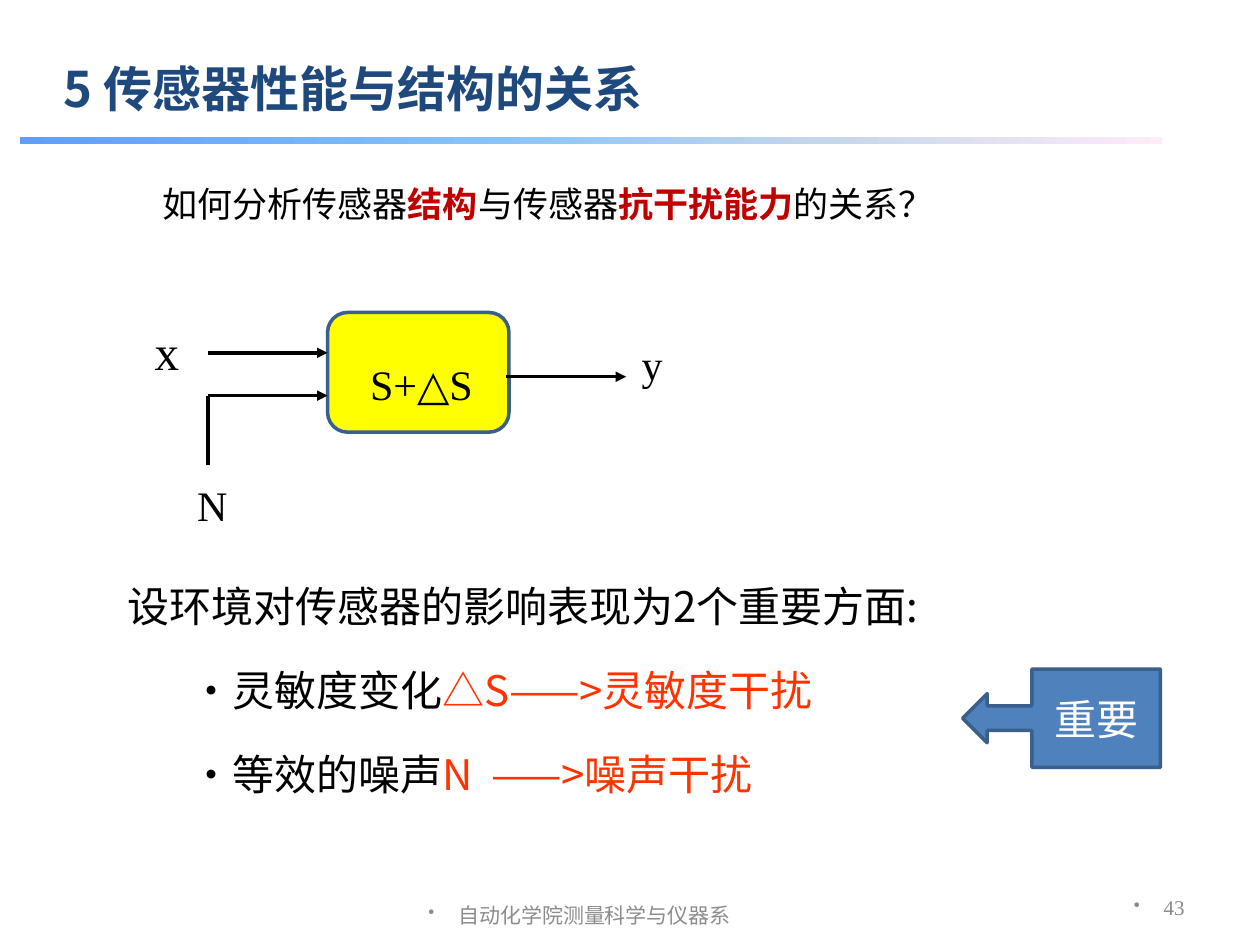
"""Build the slide on how sensor structure relates to disturbance rejection."""
import pptx
import pptx.util
import pptx.dml.color
import pptx.enum.shapes
import pptx.enum.text
import pptx.oxml.ns
import lxml.etree

Inches, Pt = pptx.util.Inches, pptx.util.Pt
Kind = pptx.enum.shapes.MSO_SHAPE
Align = pptx.enum.text.PP_ALIGN
Anchor = pptx.enum.text.MSO_ANCHOR
Auto = pptx.enum.text.MSO_AUTO_SIZE

THEME = {
    "sans": "Noto Sans CJK SC", "serif": "Times New Roman", "plain": "Calibri",
    "ink": "000000", "navy": "1F497D", "red": "C00000", "orange": "FF3300",
    "gray": "898989", "foot": "8C8C8C", "white": "FFFFFF", "yellow": "FFFF00",
    "blue": "4F81BD", "edge": "3A5F8C",
    "bar": [(0, "5E9EFF"), (40, "85C2FF"), (70, "C4D6EB"), (100, "FFEBFA")],
    "tiny": 12, "lead": 20, "body": 24, "head": 28,
}

TITLE = [[("5 传感器性能与结构的关系", "navy", True)]]
QUERY = [[("如何分析传感器", "ink"), ("结构", "red", True), ("与传感器", "ink"),
          ("抗干扰能力", "red", True), ("的关系？", "ink")]]
POINTS = [
    [("设环境对传感器的影响表现为2个重要方面:", "ink")],
    [("\t·灵敏度变化", "ink"), ("△S——>灵敏度干扰", "orange")],
    [("\t·等效的噪声", "ink"), ("N  ——>噪声干扰", "orange")],
]
LABELS = [("x", (0.99, 2.27, 0.67, 0.81), "head"),
          ("y", (4.84, 2.44, 0.67, 0.7), "body"),
          ("N", (1.35, 3.56, 0.67, 0.7), "body")]
FOOTERS = [("43", "gray", (7.17, 6.95, 2.33, 0.4), Align.RIGHT),
           ("自动化学院测量科学与仪器系", "foot", (3.11, 7.01, 3.17, 0.4), Align.CENTER)]
WIRES = [((4.02, 2.99), (4.97, 2.99), 2, True),
         ((1.65, 3.69), (1.65, 3.14), 2.25, False),
         ((1.65, 2.8), (2.6, 2.8), 2, True),
         ((1.65, 3.14), (2.6, 3.14), 2, True)]


def tint(name):
    return pptx.dml.color.RGBColor.from_string(THEME[name])


def child(node, tag, **attrs):
    return lxml.etree.SubElement(node, pptx.oxml.ns.qn("a:" + tag), attrs)


def write(frame, paras, size, font, align=Align.LEFT, lines=1.5, gap=0.2,
          indent=None, bullet=False):
    for i, runs in enumerate(paras):
        para = frame.paragraphs[0] if i == 0 else frame.add_paragraph()
        para.alignment, para.line_spacing = align, lines
        para.space_before = Pt(THEME[size] * gap)
        props = para._p.get_or_add_pPr()
        if indent:
            props.set("marL", str(Inches(indent[0])))
            props.set("indent", str(Inches(indent[1])))
        if bullet:
            child(props, "buSzPct", val="85000")
            child(props, "buChar", char="•")
        for words, color, *bold in runs:
            run = para.add_run()
            run.text = words
            run.font.size, run.font.name = Pt(THEME[size]), THEME[font]
            run.font.bold = bool(bold)
            run.font.color.rgb = tint(color)
            child(run._r.get_or_add_rPr(), "ea", typeface=THEME["sans"])


def add_text(slide, box, paras, size, font, mid=False, grow=False, wrap=True, **style):
    frame = slide.shapes.add_textbox(*map(Inches, box)).text_frame
    frame.word_wrap = wrap
    frame.auto_size = Auto.SHAPE_TO_FIT_TEXT if grow else Auto.NONE
    frame.vertical_anchor = Anchor.MIDDLE if mid else Anchor.TOP
    write(frame, paras, size, font, **style)


def add_block(slide, kind, box, fill):
    block = slide.shapes.add_shape(kind, *map(Inches, box))
    block.shadow.inherit = False
    block.fill.solid()
    block.fill.fore_color.rgb = tint(fill)
    block.line.color.rgb, block.line.width = tint("edge"), Pt(2)
    return block


def add_bar(slide, box):
    bar = slide.shapes.add_shape(Kind.RECTANGLE, *map(Inches, box))
    bar.shadow.inherit = False
    bar.line.fill.background()
    bar.fill.gradient()
    bar.fill.gradient_angle = 0
    stops = bar._element.spPr.find(".//" + pptx.oxml.ns.qn("a:gsLst"))
    for stop in list(stops):
        stops.remove(stop)
    for place, color in THEME["bar"]:
        child(child(stops, "gs", pos=str(place * 1000)), "srgbClr", val=color)


def add_wire(slide, start, end, width, arrow):
    wire = slide.shapes.add_connector(pptx.enum.shapes.MSO_CONNECTOR.STRAIGHT,
                                      *map(Inches, start + end))
    wire.line.color.rgb, wire.line.width = tint("ink"), Pt(width)
    if arrow:
        child(wire.line._get_or_add_ln(), "tailEnd", type="triangle")
    child(wire._element.spPr, "effectLst")


def main():
    deck = pptx.Presentation()
    deck.slide_width, deck.slide_height = Inches(10), Inches(7.5)
    slide = deck.slides.add_slide(deck.slide_layouts[6])
    for words, color, box, align in FOOTERS:
        add_text(slide, box, [[(words, color)]], "tiny", "serif", mid=True,
                 align=align, bullet=True)
    add_bar(slide, (0.16, 1.09, 9.06, 0.05))
    add_text(slide, (0.41, 0.29, 8.5, 0.69), TITLE, "head", "sans", mid=True,
             grow=True, lines=1.25, gap=0.5)
    add_text(slide, (1.19, 1.23, 7.39, 2.32), QUERY, "lead", "sans")
    add_block(slide, Kind.ROUNDED_RECTANGLE, (2.6, 2.48, 1.44, 0.95), "yellow")
    add_text(slide, (2.6, 2.57, 1.3, 0.75), [[("S+", "ink"), ("△", "ink"), ("S", "ink")]],
             "body", "serif", mid=True, wrap=False, align=Align.CENTER, indent=(0, 0.19))
    for wire in WIRES:
        add_wire(slide, *wire)
    for words, box, size in LABELS:
        add_text(slide, box, [[(words, "ink")]], size, "serif", grow=True,
                 align=Align.CENTER, gap=0.5, indent=(0.38, -0.38))
    add_text(slide, (0.91, 4.36, 7.71, 1.99), POINTS, "body", "sans", grow=True)
    note = add_block(slide, Kind.LEFT_ARROW_CALLOUT, (7.64, 5.31, 1.57, 0.78), "blue")
    note.text_frame.vertical_anchor = Anchor.MIDDLE
    write(note.text_frame, [[("重要", "white")]], "body", "plain",
          align=Align.CENTER, lines=1.0, gap=0)
    deck.save("out.pptx")


if __name__ == "__main__":
    main()
